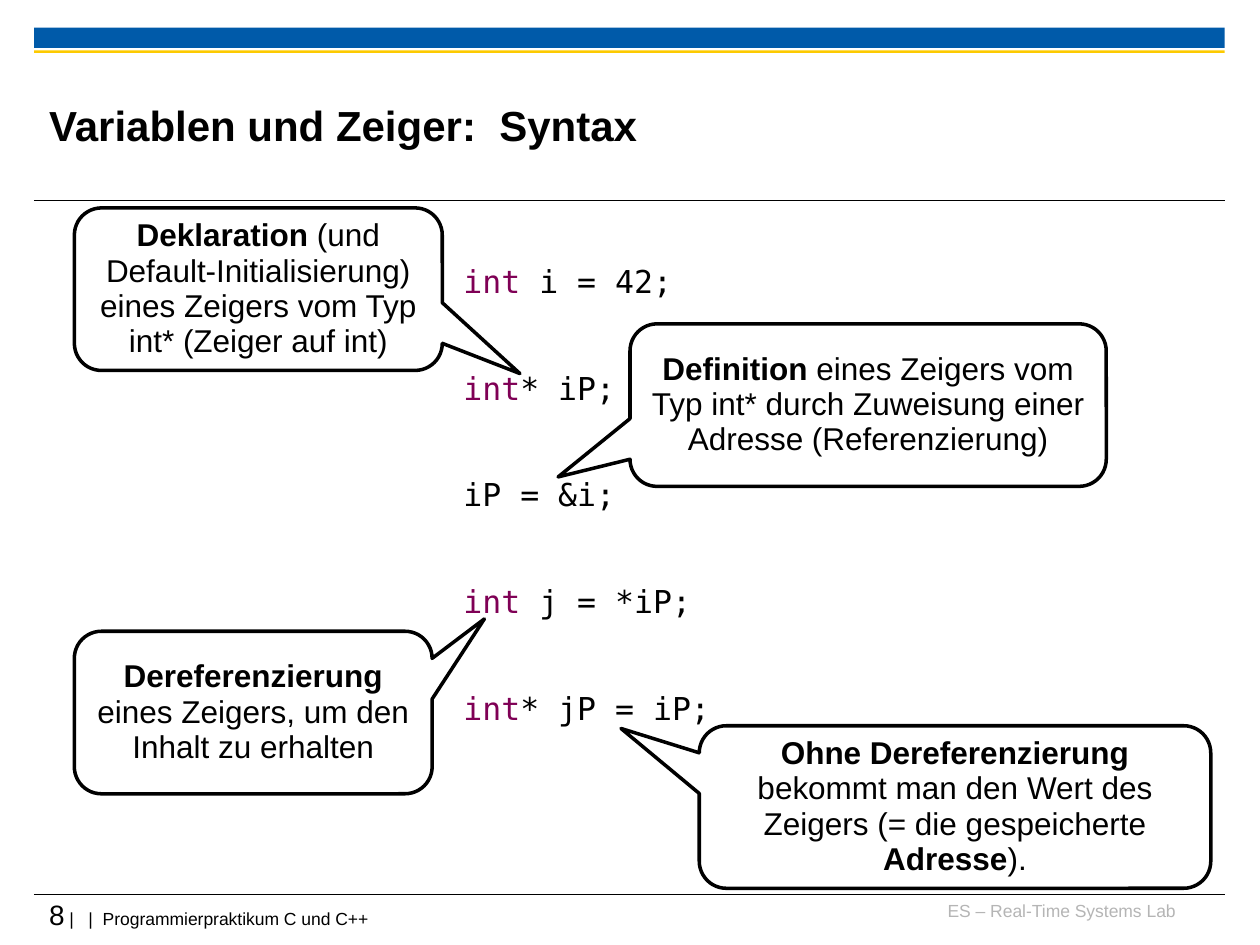
from dataclasses import dataclass

from lxml import etree
from pptx import Presentation
from pptx import util as u
from pptx.dml.color import RGBColor
from pptx.enum import shapes, text
from pptx.oxml.ns import qn


@dataclass(frozen=True)
class Theme:
    sans: str = "Arial"
    mono: str = "DejaVu Sans Mono"
    black: str = "000000"
    white: str = "FFFFFF"
    blue: str = "005AA9"
    yellow: str = "FDCA00"
    grey: str = "B5B5B5"
    keyword: str = "7F0055"
    title: int = 24
    body: int = 18
    number: int = 16
    footer: int = 10
    spacing: float = 0.93
    code_gap: float = 40.8


class SlideBuilder:
    def __init__(self, s, theme):
        self.s = s
        self.t = theme

    def rgb(self, color):
        return RGBColor.from_string(color)

    def add_run(self, p, content, size, color=None, bold=False, font=None):
        r = p.add_run()
        r.text = content
        r.font.size = u.Pt(size)
        r.font.bold = bold
        r.font.name = font or self.t.sans
        r.font.color.rgb = self.rgb(color or self.t.black)

    def frame(self, sp, margins=(0, 0), anchor=text.MSO_ANCHOR.TOP):
        tf = sp.text_frame
        tf.word_wrap = True
        tf.vertical_anchor = anchor
        tf.margin_left = tf.margin_right = u.Inches(margins[0])
        tf.margin_top = tf.margin_bottom = u.Inches(margins[1])
        return tf

    def textbox(self, box, **kwargs):
        sp = self.s.shapes.add_textbox(*map(u.Inches, box))
        return self.frame(sp, **kwargs)

    def shape(self, kind, box, fill):
        sp = self.s.shapes.add_shape(kind, *map(u.Inches, box))
        sp.shadow.inherit = False
        sp.fill.solid()
        sp.fill.fore_color.rgb = self.rgb(fill)
        sp.line.fill.background()
        return sp

    def bar(self, top, height, color):
        self.shape(shapes.MSO_SHAPE.RECTANGLE, (0.27, top, 9.45, height), color)

    def rule(self, y):
        ends = map(u.Inches, (0.27, y, 9.72, y))
        ln = self.s.shapes.add_connector(shapes.MSO_CONNECTOR.STRAIGHT, *ends)
        ln.line.color.rgb = self.rgb(self.t.black)
        ln.line.width = u.Pt(0.6)
        etree.SubElement(ln._element.spPr, qn("a:effectLst"))

    def label(self, box, runs, align=text.PP_ALIGN.LEFT, before=0, **kwargs):
        p = self.textbox(box, **kwargs).paragraphs[0]
        p.alignment = align
        p.space_before = u.Pt(before)
        for run in runs:
            self.add_run(p, *run)

    def code(self, box, lines):
        tf = self.textbox(box, margins=(0.1, 0.05))
        for i, (keyword, rest) in enumerate(lines):
            p = tf.add_paragraph() if i else tf.paragraphs[0]
            p.line_spacing = self.t.spacing
            p.space_before = u.Pt(self.t.code_gap if i else 0)
            for content, color in ((keyword, self.t.keyword), (rest, self.t.black)):
                if content:
                    self.add_run(p, content, self.t.body, color, font=self.t.mono)

    def callout(self, left, top, width, tip, parts):
        kind = shapes.MSO_SHAPE.ROUNDED_RECTANGULAR_CALLOUT
        sp = self.shape(kind, (left, top, width, 1.29), self.t.white)
        for i, value in enumerate((*tip, 0.167)):
            sp.adjustments[i] = value
        sp.line.color.rgb = self.rgb(self.t.black)
        sp.line.width = u.Pt(2)
        tf = self.frame(sp, (0.1, 0.05), text.MSO_ANCHOR.MIDDLE)
        p = tf.paragraphs[0]
        p.alignment = text.PP_ALIGN.CENTER
        p.line_spacing = self.t.spacing
        for i, part in enumerate(parts):
            self.add_run(p, part, self.t.body, bold=i % 2 == 0)


def main():
    prs = Presentation()
    prs.slide_width, prs.slide_height = u.Inches(10), u.Inches(7.5)
    t = Theme()
    b = SlideBuilder(prs.slides.add_slide(prs.slide_layouts[6]), t)

    b.bar(0.22, 0.16, t.blue)
    b.bar(0.4, 0.02, t.yellow)
    for y in (1.59, 7.1):
        b.rule(y)

    b.label((7.36, 7.14, 1.97, 0.25),
            [("ES – Real-Time Systems Lab", t.footer, t.grey)],
            align=text.PP_ALIGN.RIGHT, before=6.2)
    b.label((0.39, 7.12, 9.33, 0.33),
            [("8", t.number),
             (" |   |  Programmierpraktikum C und C++", t.footer)])
    b.label((0.39, 0.53, 7.52, 0.92),
            [("Variablen und Zeiger:  Syntax", t.title, t.black, True)],
            anchor=text.MSO_ANCHOR.MIDDLE)

    b.code((3.58, 2.06, 5, 3.73), [
        ("int", " i = 42;"),
        ("int", "* iP;"),
        ("", "iP = &i;"),
        ("int", " j = *iP;"),
        ("int", "* jP = iP;"),
    ])

    callouts = [
        (0.59, 1.65, 2.92, (0.711, 0.519),
         ("Deklaration", " (und Default-Initialisierung) eines Zeigers "
          "vom Typ int* (Zeiger auf int)")),
        (5, 2.57, 3.78, (-0.651, 0.442),
         ("Definition", " eines Zeigers vom Typ int* durch Zuweisung "
          "einer Adresse (Referenzierung)")),
        (0.59, 5.01, 2.84, (0.646, -0.576),
         ("Dereferenzierung", " eines Zeigers, um den Inhalt zu erhalten")),
        (5.55, 5.76, 4.06, (-0.653, -0.483),
         ("Ohne Dereferenzierung ", "bekommt man den Wert des Zeigers "
          "(= die gespeicherte ", "Adresse", ").")),
    ]
    for callout in callouts:
        b.callout(*callout)

    prs.save("out.pptx")


if __name__ == "__main__":
    main()
